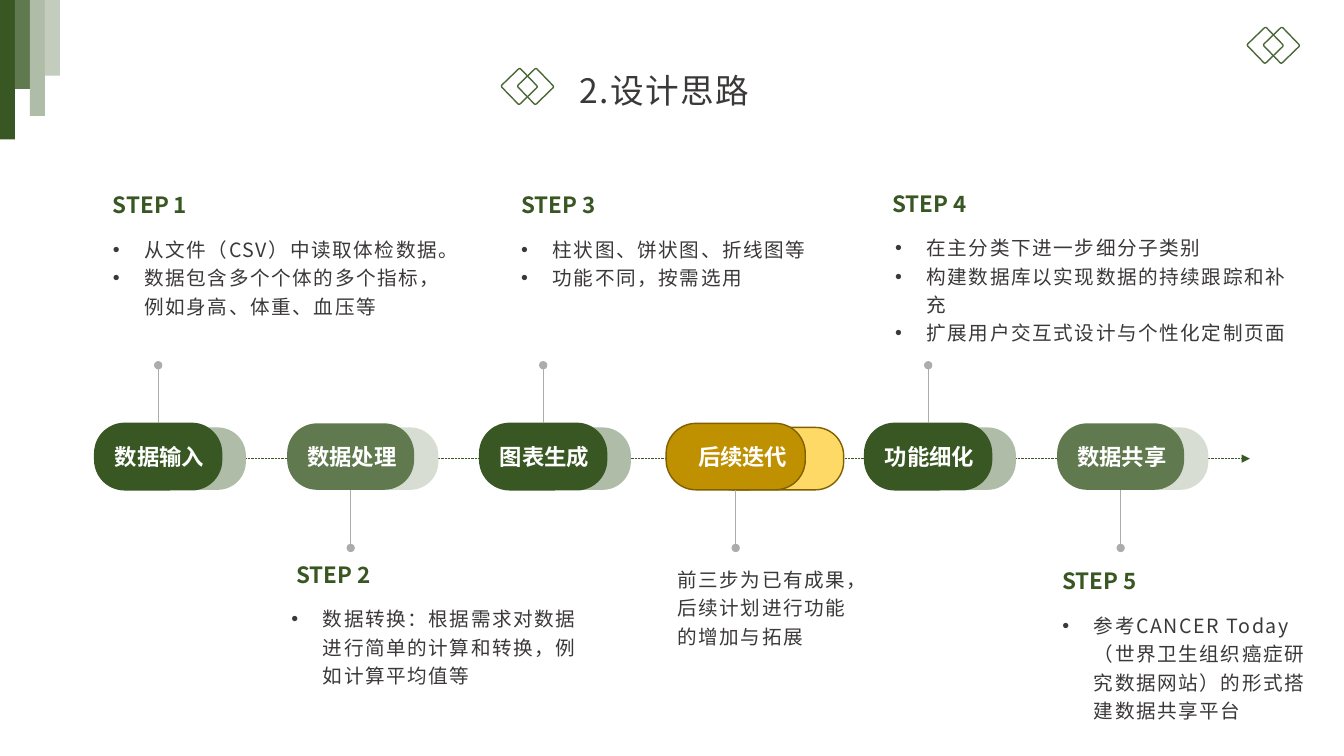
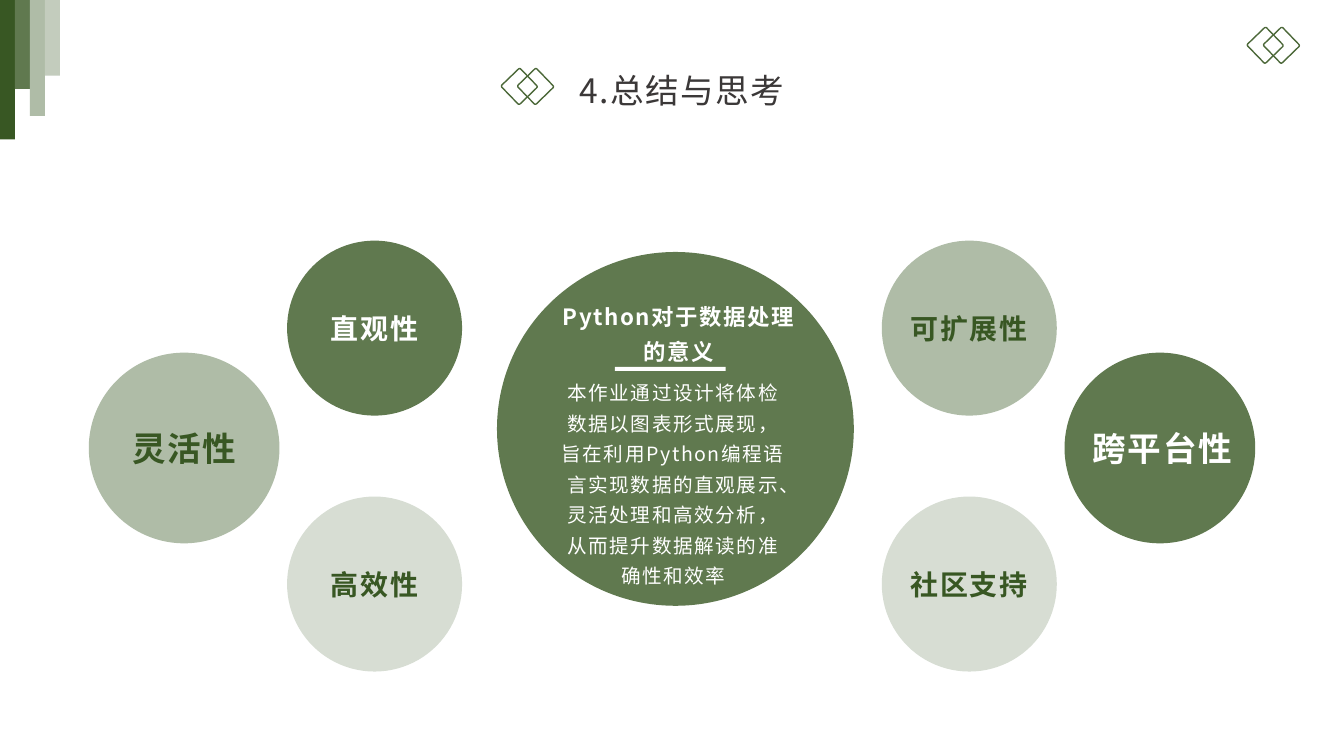
from dataclasses import dataclass

from pptx import Presentation
from pptx.dml.color import RGBColor as Rgb
from pptx.enum.dml import MSO_LINE as Dash
from pptx.enum.shapes import MSO_CONNECTOR as Conn, MSO_SHAPE as Kind
from pptx.enum.text import MSO_ANCHOR as Anchor, PP_ALIGN as Align
from pptx.oxml.ns import qn
from pptx.util import Pt


@dataclass(frozen=True)
class Theme:
    """Colours, font and type sizes of the deck."""
    dark: str = "385723"
    mid: str = "60794F"
    soft: str = "AFBCA7"
    pale: str = "D7DDD3"
    mist: str = "C3CCBD"
    edge: str = "4C6839"
    gold: str = "BF9000"
    sun: str = "FFD966"
    rim: str = "806000"
    gray: str = "AFABAB"
    ink: str = "3B3838"
    white: str = "FFFFFF"
    font: str = "Noto Sans CJK SC"
    title: float = 24
    large: float = 20
    head: float = 16
    body: float = 14
    space: float = 1.1


T = Theme()


def tint(name):
    """Turn a hex string into a colour."""
    return Rgb.from_string(name)


def write(frame, text, size=T.body, color=T.ink, bold=False, space=0, lead=None,
          align=Align.LEFT, anchor=Anchor.TOP, inset=(7.2, 3.6, 7.2, 3.6),
          bullet=False, wrap=True):
    """Fill a text frame with one paragraph per line of text."""
    frame.word_wrap = wrap
    frame.vertical_anchor = anchor
    (frame.margin_left, frame.margin_top,
     frame.margin_right, frame.margin_bottom) = map(Pt, inset)
    for i, line in enumerate(text.split("\n")):
        par = frame.add_paragraph() if i else frame.paragraphs[0]
        par.alignment = align
        if lead:
            par.line_spacing = lead
        if bullet:
            prop = par._p.get_or_add_pPr()
            prop.set("marL", str(Pt(22.5)))
            prop.set("indent", str(-Pt(22.5)))
            prop.append(prop.makeelement(qn("a:buFont"), {"typeface": "Arial"}))
            prop.append(prop.makeelement(qn("a:buChar"), {"char": "•"}))
        run = par.add_run()
        run.text = line
        font = run.font
        font.name, font.size, font.bold = T.font, Pt(size), bold
        font.color.rgb = tint(color)
        prop = run._r.get_or_add_rPr()
        prop.append(prop.makeelement(qn("a:ea"), {"typeface": T.font}))
        if space:
            prop.set("spc", str(round(space * 100)))


def label(slide, box, text, **fmt):
    """Add a text box."""
    item = slide.shapes.add_textbox(*map(Pt, box))
    write(item.text_frame, text, **fmt)


def shape(slide, kind, box, fill=None, line=None, round_=None, turn=0):
    """Add a flat preset shape."""
    item = slide.shapes.add_shape(kind, *map(Pt, box))
    item.shadow.inherit = False
    item.rotation = turn
    if round_ is not None:
        item.adjustments[0] = round_
    if fill:
        item.fill.solid()
        item.fill.fore_color.rgb = tint(fill)
    else:
        item.fill.background()
    if line:
        item.line.color.rgb = tint(line)
        item.line.width = Pt(1)
    else:
        item.line.fill.background()
    return item


def wire(slide, ends, color, tail, dash=None):
    """Add a thin straight line with a tail mark."""
    item = slide.shapes.add_connector(Conn.STRAIGHT, *map(Pt, ends))
    item.line.color.rgb = tint(color)
    item.line.width = Pt(0.5)
    if dash:
        item.line.dash_style = dash
    edge = item.line._get_or_add_ln()
    edge.append(edge.makeelement(qn("a:tailEnd"), {"type": tail}))
    prop = item._element.spPr
    prop.append(prop.makeelement(qn("a:effectLst"), {}))
    return item


def gems(slide, left, top):
    """Draw a pair of linked diamonds."""
    for step in (0, 11.6):
        shape(slide, Kind.ROUNDED_RECTANGLE, (left + step, top, 18.7, 18.7),
              line=T.edge, round_=0.06, turn=46)


def start(deck, title):
    """Add a slide with its corner bars, diamonds and title."""
    slide = deck.slides.add_slide(deck.slide_layouts[6])
    bars = ((T.dark, 99.6), (T.mid, 63.6), (T.soft, 82.8), (T.mist, 54))
    for i, (fill, high) in enumerate(bars):
        shape(slide, Kind.RECTANGLE, (i * 10.7, 0, 10.7, high), fill)
    gems(slide, 361.6, 52.4)
    gems(slide, 894.4, 23)
    label(slide, (406.8, 40.3, 191.5, 41.8), title, size=T.title,
          space=T.space, lead=1.2)
    return slide


def pill(slide, mid, top, name, look, wide, shift, nudge, up):
    """Draw a stage with its back plate and pin around a centre."""
    front, back, rim, under = look
    left = mid - wide / 2
    shape(slide, Kind.ROUNDED_RECTANGLE, (left + shift, top + 2.9, wide, 44.6),
          back, under, round_=0.45)
    item = shape(slide, Kind.ROUNDED_RECTANGLE, (left, top, wide, 47.5),
                 front, rim, round_=0.45)
    write(item.text_frame, name, size=T.head, color=T.white, bold=True,
          align=Align.CENTER, anchor=Anchor.MIDDLE, inset=(nudge, 0, 0, 0),
          wrap=False)
    edge = top if up else top + 47.5
    tip = edge - 41.5 if up else edge + 41.5
    pin = wire(slide, (mid, edge, mid, tip), T.gray, "oval")
    pin.begin_connect(item, 0 if up else 2)


def step(slide, left, top, wide, head, text, shift=0):
    """Place a step heading and its bullets."""
    inset = (2.9, 3.6, 7.2, 3.6)
    label(slide, (left, top, 81, 26.6), head, size=T.head, color=T.dark,
          bold=True, inset=inset)
    label(slide, (left + shift, top + 29.9, wide, 68), text, space=T.space,
          lead=1.2, inset=inset, bullet=True)


def flow(deck):
    """Build the slide of design steps."""
    slide = start(deck, "2.设计思路")
    wire(slide, (80, 327.6, 892.8, 327.6), T.dark, "triangle", Dash.ROUND_DOT)
    deep = (T.dark, T.soft, T.dark, None)
    calm = (T.mid, T.pale, None, None)
    warm = (T.gold, T.sun, T.rim, T.rim)
    slim, broad = (90.7, 17.3, 2), (99.4, 27.4, 10)
    stages = (("数据输入", deep, slim), ("数据处理", calm, slim),
              ("图表生成", deep, slim), ("后续迭代", warm, broad),
              ("功能细化", deep, slim), ("数据共享", calm, slim))
    for i, (name, look, size) in enumerate(stages):
        pill(slide, 113 + 137.5 * i, 302.4, name, look, *size, up=i % 2 == 0)
    step(slide, 77.8, 133.2, 259.2, "STEP 1",
         "从文件（CSV）中读取体检数据。\n数据包含多个个体的多个指标，例如身高、体重、血压等")
    step(slide, 208.8, 397, 219.6, "STEP 2",
         "数据转换：根据需求对数据进行简单的计算和转换，例如计算平均值等", -3.6)
    step(slide, 369.4, 133.2, 234, "STEP 3",
         "柱状图、饼状图、折线图等\n功能不同，按需选用")
    step(slide, 634.3, 132, 303.8, "STEP 4",
         "在主分类下进一步细分子类别\n构建数据库以实现数据的持续跟踪和补充\n"
         "扩展用户交互式设计与个性化定制页面", 2.2)
    step(slide, 756, 401.8, 191.5, "STEP 5",
         "参考CANCER Today（世界卫生组织癌症研究数据网站）的形式搭建数据共享平台")
    label(slide, (481, 398.9, 146.2, 68.4),
          "前三步为已有成果，后续计划进行功能的增加与拓展",
          space=T.space, lead=1.2, inset=(2.9, 3.6, 7.2, 3.6))


def disc(slide, mid, high, wide, name, fill, color, size, nudge=0):
    """Draw a named circle around a centre."""
    item = shape(slide, Kind.OVAL,
                 (mid - wide / 2, high - wide / 2, wide, wide), fill)
    write(item.text_frame, name, size=size, color=color, bold=True,
          space=T.space, align=Align.CENTER, anchor=Anchor.MIDDLE,
          inset=(nudge, 0, 0, 0), wrap=False)


def core(slide, left, top):
    """Draw the central circle with its heading, rule and text."""
    shape(slide, Kind.OVAL, (left, top, 254.9, 252.7), T.mid)
    fmt = dict(color=T.white, space=T.space, lead=1.3, align=Align.CENTER)
    label(slide, (left + 9.3, top + 27.4, 240.5, 57.6),
          "Python对于数据处理\n的意义", size=T.head, bold=True, **fmt)
    label(slide, (left + 36.7, top + 83.5, 178.6, 161.3),
          "本作业通过设计将体检数据以图表形式展现，旨在利用Python编程语言"
          "实现数据的直观展示、灵活处理和高效分析，从而提升数据解读的准确性和效率",
          **fmt)
    shape(slide, Kind.RECTANGLE, (left + 84.2, top + 82.1, 79.2, 2.9), T.white)


def sides(slide, mid, high):
    """Mirror three circles on each side of a centre."""
    light, deep = (T.soft, T.dark), (T.mid, T.white)
    groups = ((-1, ("直观性", deep), ("高效性", (T.pale, T.dark)),
               ("灵活性", light), 0),
              (1, ("可扩展性", light), ("社区支持", (T.pale, T.dark)),
               ("跨平台性", deep), 3.6))
    for sign, upper, lower, outer, nudge in groups:
        for (name, look), drop in ((upper, -91.4), (lower, 91.4)):
            disc(slide, mid + sign * 212.4, high + drop, 125, name, *look,
                 T.large)
        name, look = outer
        disc(slide, mid + sign * 348.5, high - 5.8, 136.2, name, *look,
             T.title, nudge)


def close(deck):
    """Build the summary slide."""
    slide = start(deck, "4.总结与思考")
    core(slide, 355, 180)
    sides(slide, 480, 325.8)


def main():
    """Build and save the deck."""
    deck = Presentation()
    deck.slide_width, deck.slide_height = Pt(960), Pt(540)
    flow(deck)
    close(deck)
    deck.save("out.pptx")


if __name__ == "__main__":
    main()
